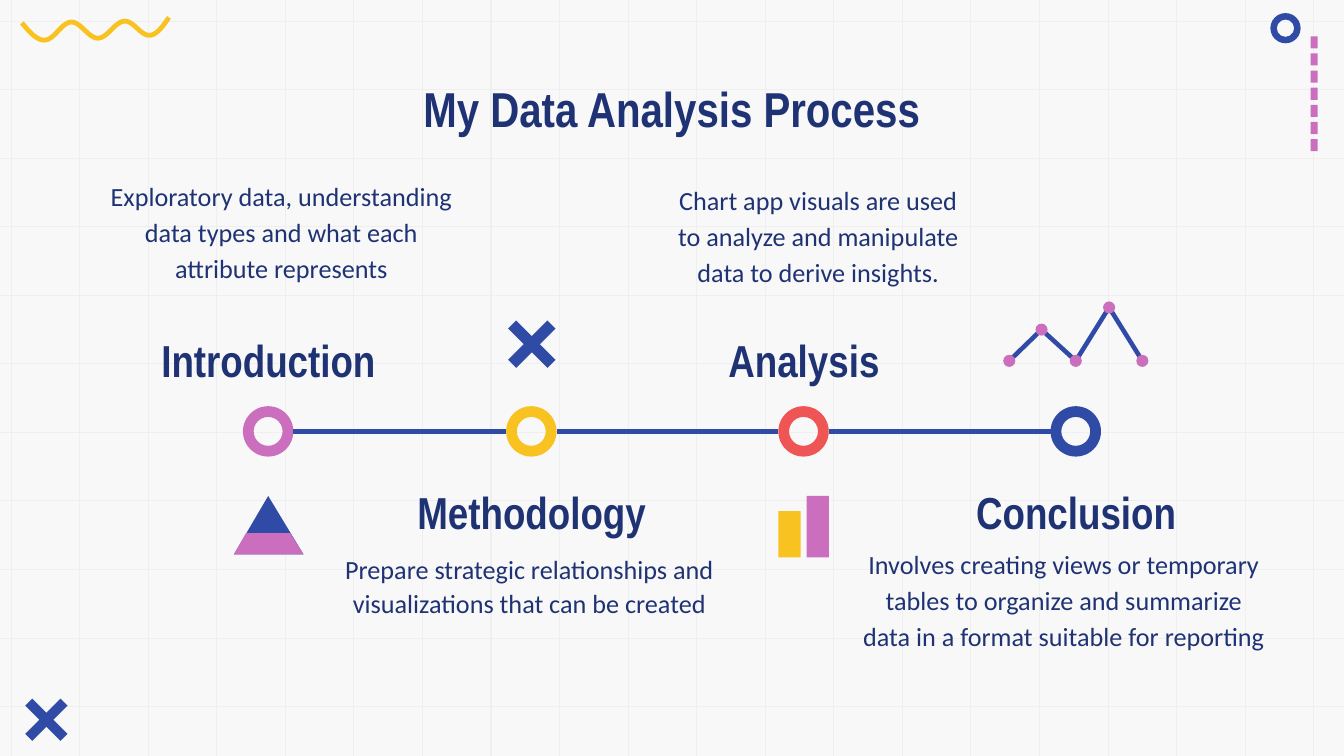
from math import pi, sin, cos
from itertools import pairwise
from lxml.etree import SubElement
from pptx import Presentation
from pptx.dml.color import RGBColor
from pptx.enum.shapes import MSO_CONNECTOR, MSO_SHAPE
from pptx.enum.text import MSO_ANCHOR, MSO_AUTO_SIZE, PP_ALIGN
from pptx.oxml.ns import qn
from pptx.util import Inches, Pt

PAPER = RGBColor(0xF8, 0xF8, 0xF8)
GRID = RGBColor(0xEF, 0xEF, 0xEF)
NAVY = RGBColor(0x1F, 0x33, 0x74)
BLUE = RGBColor(0x30, 0x4B, 0xA6)
PINK = RGBColor(0xCB, 0x6E, 0xBE)
YELLOW = RGBColor(0xF8, 0xC2, 0x20)
RED = RGBColor(0xF0, 0x55, 0x55)

GRID_STEP = 0.68
RING_SIZE = 0.5
RING_TOP = 4.03

# Step: ring left, ring colour, heading, heading place, heading anchor
STEPS = [
    (2.41, PINK, "Introduction", (1.1, 3.09), MSO_ANCHOR.TOP),
    (5.02, YELLOW, "Methodology", (3.71, 4.8), MSO_ANCHOR.BOTTOM),
    (7.72, RED, "Analysis", (6.41, 3.09), MSO_ANCHOR.TOP),
    (10.42, BLUE, "Conclusion", (9.11, 4.8), MSO_ANCHOR.BOTTOM),
]
# Description: box, line spacing, text
DESCRIPTIONS = [
    ((0.82, 1.61, 3.94, 0.83), 1.15,
     "Exploratory data, understanding data types and what each attribute represents"),
    ((3.25, 5.34, 4, 0.83), 1.07,
     "Prepare strategic relationships and visualizations that can be created"),
    ((6.55, 1.65, 3.13, 0.83), 1.15,
     "Chart app visuals are used to analyze and manipulate data to derive insights."),
    ((8.41, 5.26, 4.28, 0.83), 1.15,
     "Involves creating views or temporary tables to organize and summarize "
     "data in a format suitable for reporting"),
]
TREND = [(10.01, 3.58), (10.33, 3.27), (10.67, 3.58), (11, 3.05), (11.33, 3.58)]
WAVE = [(0.22, 0.2), (0.44, 0.38), (0.71, 0.21), (0.97, 0.38),
        (1.24, 0.22), (1.48, 0.37), (1.68, 0.2)]


def add_line(page, start, end, color, width):
    line = page.shapes.add_connector(
        MSO_CONNECTOR.STRAIGHT, *map(Inches, (*start, *end)))
    line.line.color.rgb = color
    line.line.width = Pt(width)
    SubElement(line.element.spPr, qn("a:effectLst"))


def paint(shape, color):
    shape.shadow.inherit = False
    shape.fill.solid()
    shape.fill.fore_color.rgb = color
    shape.line.fill.background()


def add_preset(page, kind, box, color):
    shape = page.shapes.add_shape(kind, *map(Inches, box))
    paint(shape, color)
    return shape


def add_ring(page, left, top, size, color):
    ring = add_preset(page, MSO_SHAPE.DONUT, (left, top, size, size), color)
    ring.adjustments[0] = 0.213


def add_outline(page, points, close=True):
    first, *rest = [(Inches(x), Inches(y)) for x, y in points]
    builder = page.shapes.build_freeform(*first)
    builder.add_line_segments(rest, close=close)
    return builder.convert_to_shape()


def add_cross(page, left, top, size, arm):
    bar = [(arm, 0), (0, arm), (size - arm, size), (size, size - arm)]
    mirrored = [(size - x, y) for x, y in bar]
    for points in (bar, mirrored):
        paint(add_outline(page, [(left + x, top + y) for x, y in points]), BLUE)


def add_wave(page, samples=10):
    points = [WAVE[0]]
    last = len(WAVE) - 2
    for index, ((x1, y1), (x2, y2)) in enumerate(pairwise(WAVE)):
        for sample in range(1, samples + 1):
            part = sample / samples
            if index == 0:
                rise = sin(part * pi / 2)
            elif index == last:
                rise = 1 - cos(part * pi / 2)
            else:
                rise = (1 - cos(part * pi)) / 2
            points.append((x1 + (x2 - x1) * part, y1 + (y2 - y1) * rise))
    wave = add_outline(page, points, close=False)
    wave.shadow.inherit = False
    wave.fill.background()
    wave.line.color.rgb = YELLOW
    wave.line.width = Pt(3.4)
    wave.rotation = 357.9


def write(box, text, font, size, bold=False, spacing=1.0, anchor=MSO_ANCHOR.TOP):
    frame = box.text_frame
    frame.text = text
    frame.word_wrap = True
    frame.auto_size = MSO_AUTO_SIZE.NONE
    frame.vertical_anchor = anchor
    frame.margin_left = frame.margin_right = Inches(0.13)
    frame.margin_top = frame.margin_bottom = Inches(0.13)
    para = frame.paragraphs[0]
    para.alignment = PP_ALIGN.CENTER
    para.line_spacing = spacing
    span = para.runs[0]
    span.font.name = font
    span.font.size = Pt(size)
    span.font.bold = bold
    span.font.color.rgb = NAVY


def add_text(page, box, *args, **options):
    write(page.shapes.add_textbox(*map(Inches, box)), *args, **options)


def add_background(page):
    page.background.fill.solid()
    page.background.fill.fore_color.rgb = PAPER
    for row in range(11):
        y = 0.21 + row * GRID_STEP
        add_line(page, (0, y), (13.33, y), GRID, 0.75)
    for column in range(20):
        x = 0.11 + column * GRID_STEP
        add_line(page, (x, 0), (x, 7.5), GRID, 0.75)


def add_decoration(page):
    for dash in range(7):
        add_preset(page, MSO_SHAPE.RECTANGLE,
                   (13, 0.36 + dash * 0.17, 0.07, 0.12), PINK)
    add_cross(page, 0.25, 6.93, 0.42, 0.07)
    add_wave(page)
    add_ring(page, 12.6, 0.13, 0.3, BLUE)


def add_title(page):
    title = page.shapes.title
    title.left, title.top, title.width, title.height = map(
        Inches, (1.05, 0.65, 11.23, 0.84))
    write(title, "My Data Analysis Process", "Arial Narrow", 35, bold=True)
    # Bring the title in front of the grid
    title.element.getparent().append(title.element)


def add_timeline(page):
    for left, color, heading, place, anchor in STEPS:
        add_text(page, (*place, 3.13, 0.67), heading, "Arial Narrow", 32,
                 bold=True, spacing=1.15, anchor=anchor)
        add_ring(page, left, RING_TOP, RING_SIZE, color)
    for box, spacing, text in DESCRIPTIONS:
        add_text(page, box, text, "Calibri", 18.7, spacing=spacing)
    middle = RING_TOP + RING_SIZE / 2
    for step, following in pairwise(STEPS):
        add_line(page, (step[0] + RING_SIZE, middle), (following[0], middle), BLUE, 3)


def add_icons(page):
    # Pyramid
    paint(add_outline(page, [(2.66, 4.92), (2.32, 5.5), (3.01, 5.5)]), BLUE)
    paint(add_outline(page, [(2.44, 5.29), (2.32, 5.5), (3.01, 5.5), (2.88, 5.29)]), PINK)
    # Cross
    add_cross(page, 5.04, 3.18, 0.47, 0.08)
    # Bars
    add_preset(page, MSO_SHAPE.RECTANGLE, (7.72, 5.07, 0.22, 0.46), YELLOW)
    add_preset(page, MSO_SHAPE.RECTANGLE, (8, 4.92, 0.22, 0.61), PINK)
    # Trend line
    for start, end in pairwise(TREND):
        add_line(page, start, end, BLUE, 3.25)
    for x, y in TREND:
        add_preset(page, MSO_SHAPE.OVAL, (x - 0.06, y - 0.06, 0.12, 0.12), PINK)


def main():
    deck = Presentation()
    deck.slide_width, deck.slide_height = Inches(13.33), Inches(7.5)
    page = deck.slides.add_slide(deck.slide_layouts[5])
    add_background(page)
    add_decoration(page)
    add_title(page)
    add_timeline(page)
    add_icons(page)
    deck.save("out.pptx")


if __name__ == "__main__":
    main()
